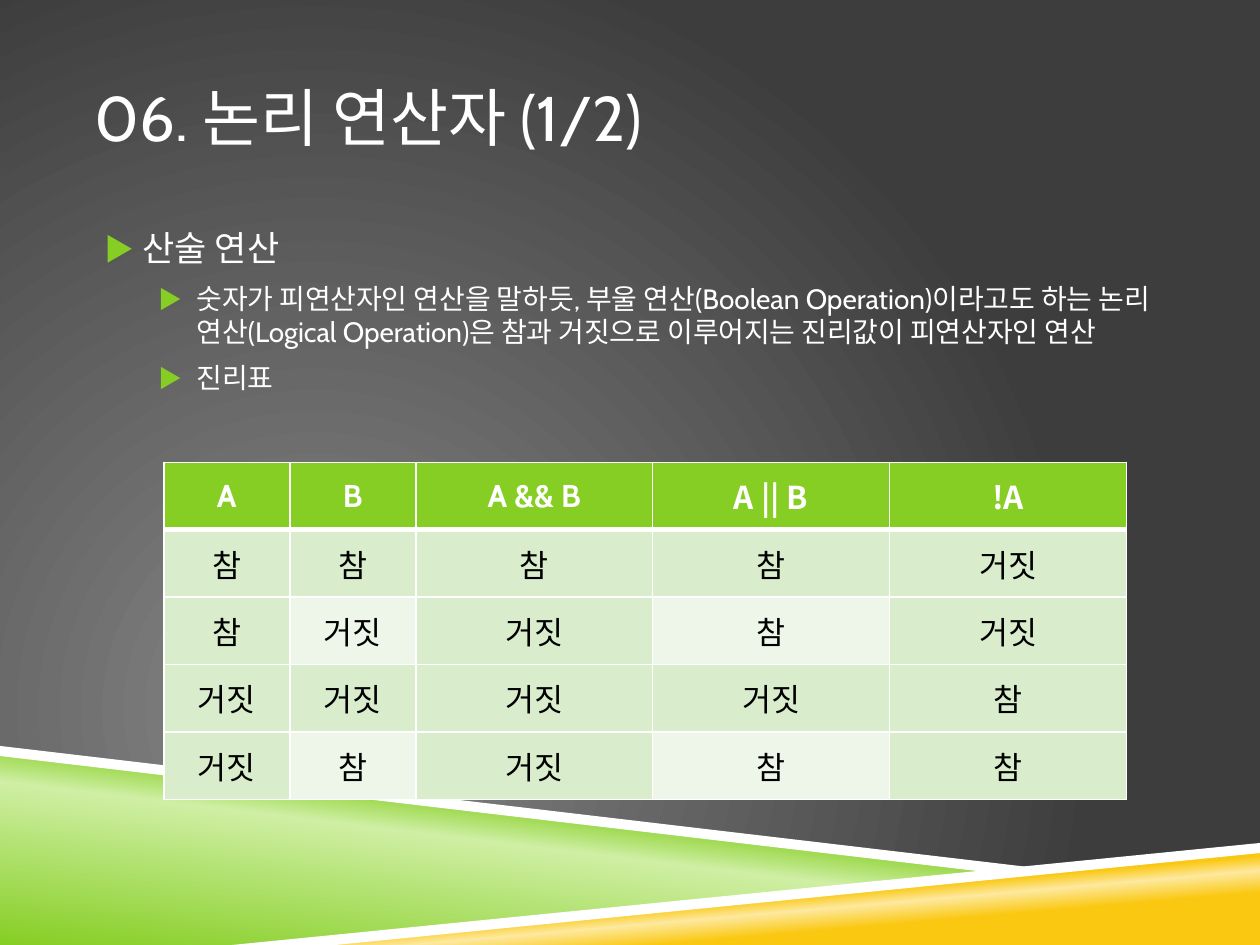
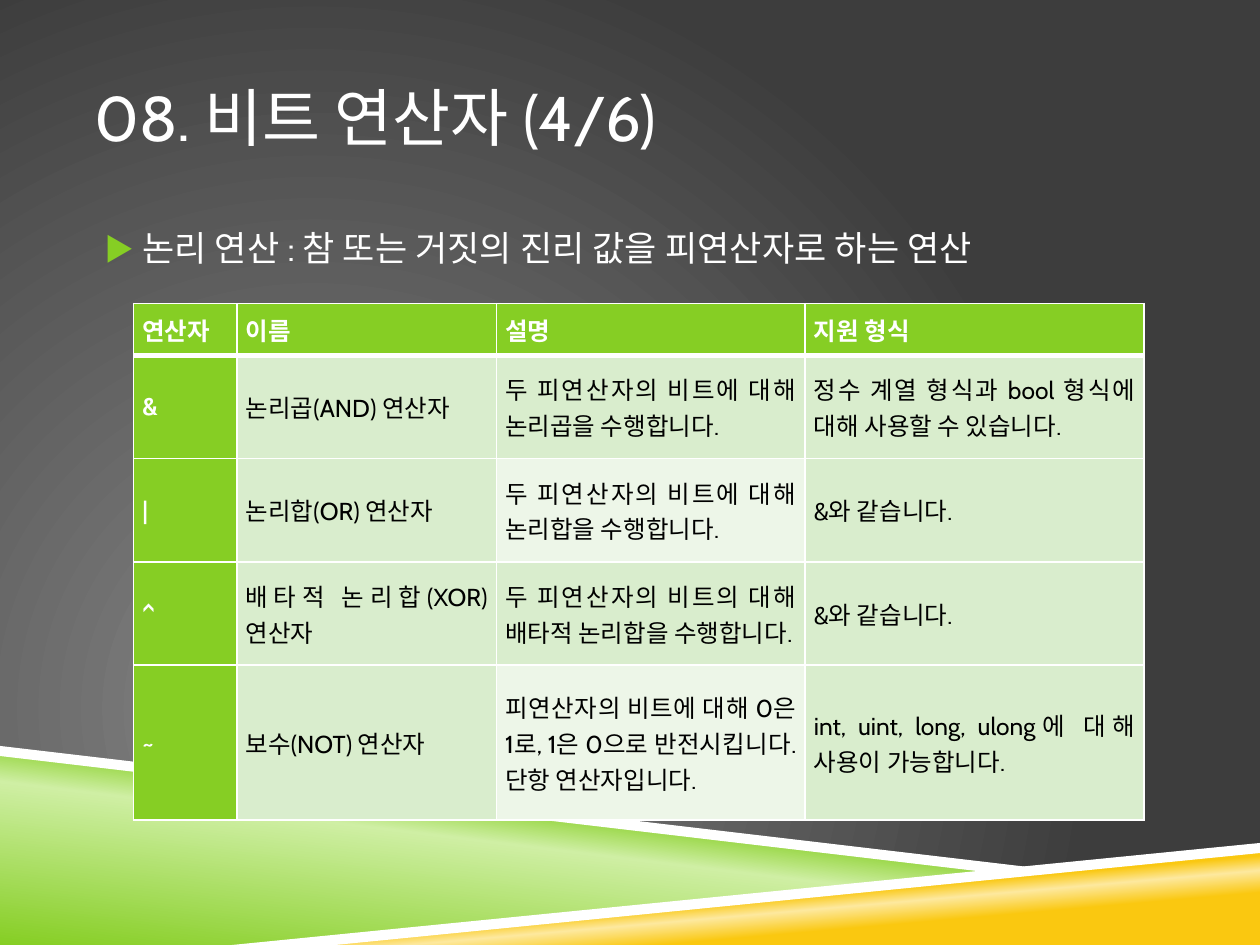
from lxml import etree
from pptx import Presentation
from pptx import util as u
from pptx.dml.color import RGBColor
from pptx.enum import text
from pptx.oxml import parse_xml
from pptx.oxml.ns import nsdecls, qn

COLOURS = {
    "white": "FFFFFF", "black": "000000",
    "green": "86CE24", "green_glow": "CFEFA4",
    "amber": "FAC810", "amber_glow": "FDE99F",
    "cell": "D9EDCD", "cell_light": "EDF6E8",
    "centre": "878787", "edge": "3D3D3D",
}
LATIN, KOREAN = "Cabin", "Noto Sans CJK KR"
COLUMNS, ROWS = 40, 30
CENTRE, JUSTIFY = text.PP_ALIGN.CENTER, text.PP_ALIGN.JUSTIFY


class Deck:
    """Holds the shared style and the slide being filled."""

    def __init__(self):
        self.prs = Presentation()
        self.prs.slide_width, self.prs.slide_height = u.Inches(10), u.Inches(7.5)
        self.slide = None

    def x(self, columns):
        return round(self.prs.slide_width * columns / COLUMNS)

    def y(self, rows):
        return round(self.prs.slide_height * rows / ROWS)

    def new_slide(self):
        self.slide = self.prs.slides.add_slide(self.prs.slide_layouts[1])

    def gradient(self, fill, holder, stops, direction):
        """Swap the solid fill inside holder for a gradient."""
        fill.solid()
        solid = next(holder.iter(qn("a:solidFill")))
        marks = "".join(
            f'<a:gs pos="{share * 1000}"><a:srgbClr val="{COLOURS[name]}"/></a:gs>'
            for share, name in stops)
        solid.getparent().replace(solid, parse_xml(
            f'<a:gradFill {nsdecls("a")} rotWithShape="1">'
            f'<a:gsLst>{marks}</a:gsLst>{direction}</a:gradFill>'))

    def backdrop(self):
        master = self.prs.slide_master
        self.gradient(
            master.background.fill, master.element.find(".//" + qn("p:bgPr")),
            [(0, "centre"), (100, "edge")],
            '<a:path path="circle"><a:fillToRect l="50000" t="100000" '
            'r="100000" b="50000"/></a:path>')

    def band(self, order, points, colour=None, stops=None, angle=0):
        """Draw one outline and place it behind everything on the master."""
        corners = [(self.x(px), self.y(py)) for px, py in points]
        builder = self.slide.shapes.build_freeform(*corners[0])
        builder.add_line_segments(corners[1:], close=True)
        band = builder.convert_to_shape()
        band.shadow.inherit = False
        band.line.fill.background()
        if stops:
            self.gradient(band.fill, band.element.spPr, stops,
                          f'<a:lin ang="{angle * 60000}" scaled="0"/>')
        else:
            band.fill.solid()
            band.fill.fore_color.rgb = RGBColor.from_string(COLOURS[colour])
        band.element.nvSpPr.cNvPr.set("id", str(100 + order))
        self.prs.slide_master.shapes.element.insert(2 + order, band.element)

    def run(self, paragraph, words, size, colour="white", bold=False,
            latin=LATIN, asian=LATIN):
        run = paragraph.add_run()
        run.text = words
        font = run.font
        font.size, font.bold, font.name = u.Pt(size), bold, latin
        font.color.rgb = RGBColor.from_string(COLOURS[colour])
        etree.SubElement(font._element, qn("a:ea")).set("typeface", asian)

    def frame(self, holder, top, height, anchor):
        holder.left, holder.width = self.x(3), self.x(34)
        holder.top, holder.height = self.y(top), self.y(height)
        frame = holder.text_frame
        frame.auto_size, frame.word_wrap = text.MSO_AUTO_SIZE.NONE, True
        frame.vertical_anchor = anchor
        frame.margin_left = frame.margin_right = 0
        frame.margin_top = frame.margin_bottom = u.Inches(0.05)
        return frame

    def title(self, words):
        frame = self.frame(self.slide.shapes.title, 1.2, 5, text.MSO_ANCHOR.MIDDLE)
        frame.paragraphs[0].alignment = text.PP_ALIGN.LEFT
        self.run(frame.paragraphs[0], words, 36)

    def bullets(self, items):
        """items: (level, words) pairs."""
        frame = self.frame(self.slide.placeholders[1], 7, 16.32, text.MSO_ANCHOR.TOP)
        for number, (level, words) in enumerate(items):
            paragraph = frame.add_paragraph() if number else frame.paragraphs[0]
            paragraph.level = level
            paragraph.space_before = u.Pt(7 if number else 0)
            props = paragraph._p.get_or_add_pPr()
            props.set("marL", str(u.Inches((0.38, 0.81)[level])))
            props.set("indent", str(u.Inches(-0.3)))
            for mark in (f'buClr {nsdecls("a")}><a:srgbClr val="{COLOURS["green"]}"/></a:buClr',
                         f'buSzPct {nsdecls("a")} val="85000"/',
                         f'buFont {nsdecls("a")} typeface="{KOREAN}"/',
                         f'buChar {nsdecls("a")} char="▶"/'):
                props.append(parse_xml(f"<a:{mark}>"))
            self.run(paragraph, words, (20, 16)[level])

    def borders(self, cell, top, bottom):
        props = cell._tc.get_or_add_tcPr()
        for place, (side, width) in enumerate(
                [("L", 1), ("R", 1), ("T", top), ("B", bottom)]):
            props.insert(place, parse_xml(
                f'<a:ln{side} {nsdecls("a")} w="{u.Pt(width)}"><a:solidFill>'
                f'<a:srgbClr val="{COLOURS["white"]}"/></a:solidFill></a:ln{side}>'))

    def table(self, left, top, widths, heights, content, size, align,
              light_columns, key_column=False, korean_heads=()):
        """Green header row; every second body row has lighter cells."""
        table = self.slide.shapes.add_table(
            len(heights), len(widths), self.x(left), self.y(top),
            self.x(sum(widths)), self.y(sum(heights))).table
        table.horz_banding = False
        for column, width in zip(table.columns, widths):
            column.width = self.x(width)
        for row, height in zip(table.rows, heights):
            row.height = self.y(height)
        for r, line in enumerate(content):
            for c, words in enumerate(line):
                cell = table.cell(r, c)
                cell.vertical_anchor = text.MSO_ANCHOR.MIDDLE
                cell.margin_left = cell.margin_right = u.Inches(0.07)
                cell.margin_top = cell.margin_bottom = 0
                strong = r == 0 or (key_column and c == 0)
                light = r % 2 == 0 and c in light_columns
                fill = "green" if strong else "cell_light" if light else "cell"
                cell.fill.solid()
                cell.fill.fore_color.rgb = RGBColor.from_string(COLOURS[fill])
                self.borders(cell, 3 if r == 1 else 1, 3 if r == 0 else 1)
                paragraph = cell.text_frame.paragraphs[0]
                paragraph.alignment = align
                self.run(paragraph, words, size, "white" if strong else "black", strong,
                         KOREAN if words in korean_heads else LATIN, KOREAN)


def main():
    deck = Deck()

    # Shared background and bands
    deck.new_slide()
    deck.backdrop()
    deck.band(0, [(0, 23.88), (31.68, 27.68), (8, 30), (0, 30)], angle=277,
              stops=[(0, "green"), (52, "green_glow"), (66, "green")])
    deck.band(1, [(7.92, 30), (40, 26.88), (40, 30)], angle=265,
              stops=[(28, "amber"), (40, "amber_glow"), (48, "amber")])
    deck.band(2, [(0, 23.68), (0, 24), (31.6, 27.72), (33.28, 27.6)], "white")
    deck.band(3, [(40, 26.76), (7.36, 30), (10.64, 30), (40, 27.08)], "white")

    # Logical operators: truth table
    deck.title("06. 논리 연산자 (1/2)")
    deck.bullets([
        (0, "산술 연산"),
        (1, "숫자가 피연산자인 연산을 말하듯, 부울 연산(Boolean Operation)이라고도 하는 "
            "논리 연산(Logical Operation)은 참과 거짓으로 이루어지는 진리값이 피연산자인 연산"),
        (1, "진리표"),
    ])
    truth_table = [
        ["A", "B", "A && B", "A || B", "!A"],
        ["참", "참", "참", "참", "거짓"],
        ["참", "거짓", "거짓", "참", "거짓"],
        ["거짓", "거짓", "거짓", "거짓", "참"],
        ["거짓", "참", "거짓", "참", "참"],
    ]
    deck.table(5.2, 14.68, [4] * 2 + [7.52] * 3, [2.14] * 5, truth_table, 18, CENTRE,
               light_columns=(1, 3), korean_heads=("A || B", "!A"))

    # Bitwise operators: what each one does
    deck.new_slide()
    deck.title("08. 비트 연산자 (4/6)")
    deck.bullets([(0, "논리 연산 : 참 또는 거짓의 진리 값을 피연산자로 하는 연산")])
    operators = [
        ["연산자", "이름", "설명", "지원 형식"],
        ["&", "논리곱(AND) 연산자", "두 피연산자의 비트에 대해 논리곱을 수행합니다.",
         "정수 계열 형식과 bool 형식에 대해 사용할 수 있습니다."],
        ["|", "논리합(OR) 연산자", "두 피연산자의 비트에 대해 논리합을 수행합니다.",
         "&와 같습니다."],
        ["^", "배타적 논리합(XOR) 연산자",
         "두 피연산자의 비트의 대해 배타적 논리합을 수행합니다.", "&와 같습니다."],
        ["~", "보수(NOT) 연산자",
         "피연산자의 비트에 대해 0은 1로, 1은 0으로 반전시킵니다. 단항 연산자입니다.",
         "int, uint, long, ulong에 대해 사용이 가능합니다."],
    ]
    line_height = 1.64
    deck.table(4.24, 9.64, [3.28, 8.24, 9.8, 10.76],
               [line_height * lines for lines in (1, 2, 2, 2, 3)],
               operators, 14, JUSTIFY, light_columns=(2,), key_column=True)

    deck.prs.save("out.pptx")


if __name__ == "__main__":
    main()
